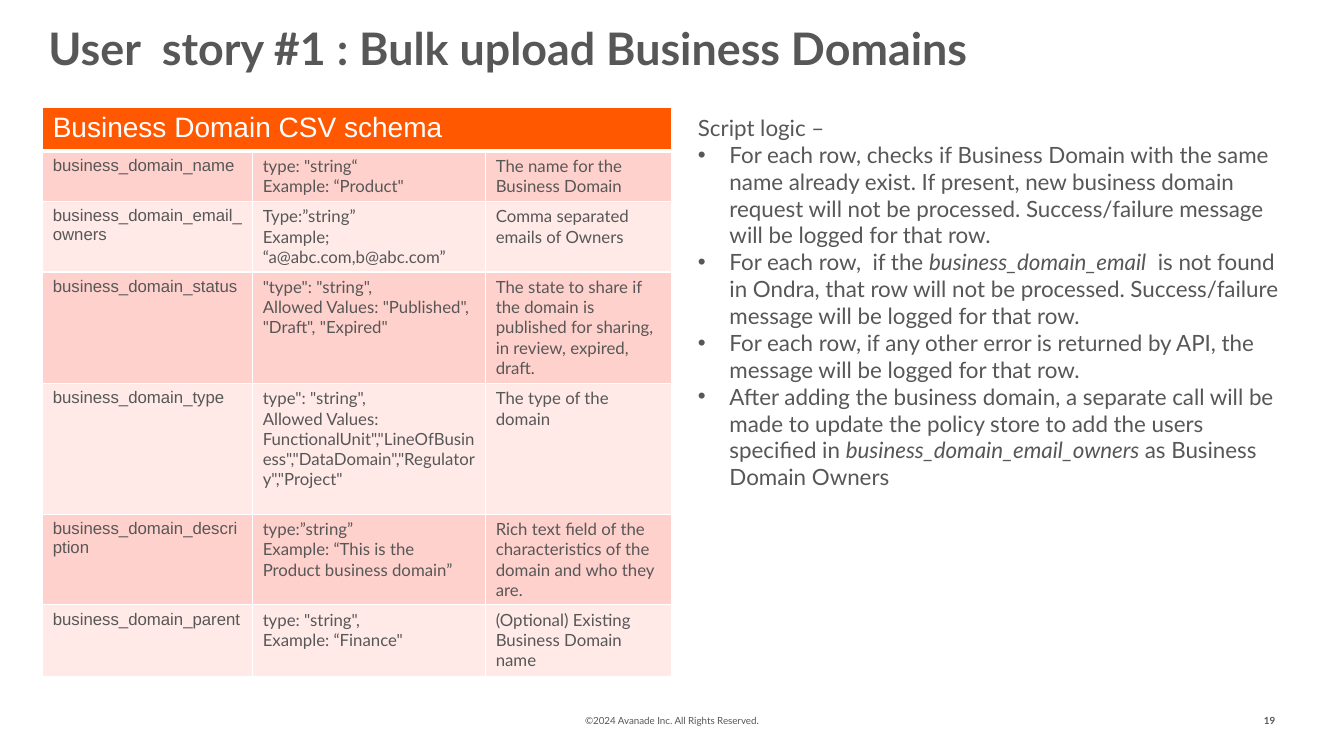
from lxml import etree
from pptx import Presentation
from pptx import util as u
from pptx.dml import color
from pptx.enum import shapes, text
from pptx.oxml import ns

COLORS = {"ink": "575757", "white": "FFFFFF", "orange": "FF5800", "rose": "FFD1CC", "blush": "FFEAE7"}


def rgb(name):
    return color.RGBColor.from_string(COLORS[name])


class SlideBuilder:
    font = "Lato"
    ink = "ink"

    def __init__(self, slide):
        self.slide = slide

    def add_words(self, frame, paragraphs, size, font=None, ink=None, bold=False, align=None, bullets_from=None):
        frame.word_wrap = True
        for index, runs in enumerate(paragraphs):
            paragraph = frame.paragraphs[0] if index == 0 else frame.add_paragraph()
            if align is not None:
                paragraph.alignment = align
            if bullets_from is not None and index >= bullets_from:
                self.bullet(paragraph)
            for position, words in enumerate([runs] if isinstance(runs, str) else runs):
                run = paragraph.add_run()
                run.text = words
                run.font.name = font or self.font
                run.font.size = u.Pt(size)
                run.font.bold = bold
                run.font.italic = position % 2 == 1
                run.font.color.rgb = rgb(ink or self.ink)

    def bullet(self, paragraph):
        properties = paragraph._p.get_or_add_pPr()
        properties.set("marL", str(u.Pt(22.5)))
        properties.set("indent", str(u.Pt(-22.5)))
        etree.SubElement(properties, ns.qn("a:buFont"), typeface="Arial")
        etree.SubElement(properties, ns.qn("a:buChar"), char="•")

    def text_box(self, box, paragraphs, size, anchor=text.MSO_ANCHOR.TOP, **style):
        frame = self.slide.shapes.add_textbox(*map(u.Pt, box)).text_frame
        frame.vertical_anchor = anchor
        self.add_words(frame, paragraphs, size, **style)

    def panel(self, box, fill, paragraphs, size, **style):
        panel = self.slide.shapes.add_shape(shapes.MSO_SHAPE.RECTANGLE, *map(u.Pt, box))
        panel.shadow.inherit = False
        panel.fill.solid()
        panel.fill.fore_color.rgb = rgb(fill)
        panel.line.fill.background()
        panel.text_frame.vertical_anchor = text.MSO_ANCHOR.MIDDLE
        self.add_words(panel.text_frame, paragraphs, size, **style)

    def border(self, cell, top=1, bottom=1):
        properties = cell._tc.get_or_add_tcPr()
        widths = {"lnL": 1, "lnR": 1, "lnT": top, "lnB": bottom}
        for index, (edge, width) in enumerate(widths.items()):
            line = etree.Element(ns.qn(f"a:{edge}"), w=str(u.Pt(width)))
            fill = etree.SubElement(line, ns.qn("a:solidFill"))
            etree.SubElement(fill, ns.qn("a:srgbClr"), val=COLORS["white"])
            properties.insert(index, line)

    def fill_cell(self, cell, fill, paragraphs, size, top=1, bottom=1, **style):
        cell.fill.solid()
        cell.fill.fore_color.rgb = rgb(fill)
        self.border(cell, top, bottom)
        self.add_words(cell.text_frame, paragraphs, size, **style)

    def schema_table(self, left, top, widths, heights, heading, fields):
        frame = self.slide.shapes.add_table(
            len(heights), len(widths), *map(u.Pt, (left, top, sum(widths), sum(heights))))
        table = frame.table
        for column, width in zip(table.columns, widths):
            column.width = u.Pt(width)
        for row, height in zip(table.rows, heights):
            row.height = u.Pt(height)
        table.cell(0, 0).merge(table.cell(0, len(widths) - 1))
        self.fill_cell(table.cell(0, 0), "orange", [heading], 20, bottom=3, font="Arial", ink="white")
        for row, (name, kind, meaning) in enumerate(fields, 1):
            for column, lines in enumerate(([name], kind, [meaning])):
                self.fill_cell(table.cell(row, column), "rose" if row % 2 else "blush", lines, 12,
                               top=3 if row == 1 else 1, font="Arial" if column == 0 else self.font)


FIELDS = [
    ("business_domain_name", ['type: "string“', 'Example: “Product"'], "The name for the Business Domain"),
    ("business_domain_email_owners", ["Type:”string”", "Example; “a@abc.com,b@abc.com”"],
     "Comma separated emails of Owners"),
    ("business_domain_status", ['"type": "string",', 'Allowed Values: "Published", "Draft", "Expired"'],
     "The state to share if the domain is published for sharing, in review, expired, draft."),
    ("business_domain_type",
     ['type": "string",',
      'Allowed Values: FunctionalUnit","LineOfBusiness","DataDomain","Regulatory","Project"'],
     "The type of the domain"),
    ("business_domain_description", ["type:”string”", "Example: “This is the Product business domain”"],
     "Rich text field of the characteristics of the domain and who they are."),
    ("business_domain_parent", ['type: "string",', 'Example: “Finance"'],
     "(Optional) Existing Business Domain name"),
]

SCRIPT_LOGIC = [
    "Script logic –",
    "For each row, checks if Business Domain with the same name already exist. If present, new business "
    "domain request will not be processed. Success/failure message will be logged for that row.",
    ["For each row,  if the ", "business_domain_email",
     "  is not found in Ondra, that row will not be processed. Success/failure message will be logged "
     "for that row."],
    "For each row, if any other error is returned by API, the message will be logged for that row.",
    ["After adding the business domain, a separate call will be made to update the policy store to add "
     "the users specified in ", "business_domain_email_owners ", "as Business Domain Owners"],
]


def main():
    deck = Presentation()
    deck.slide_width, deck.slide_height = u.Pt(960), u.Pt(540)
    story = SlideBuilder(deck.slides.add_slide(deck.slide_layouts[6]))
    story.panel((318, 500.5, 324, 29), "white", ["©2024 Avanade Inc. All Rights Reserved."], 7,
                align=text.PP_ALIGN.CENTER)
    story.text_box((883.5, 500.5, 34.5, 29), ["19"], 7, anchor=text.MSO_ANCHOR.MIDDLE, bold=True,
                   align=text.PP_ALIGN.RIGHT)
    story.text_box((27.5, 11, 882, 51), ["User  story #1 : Bulk upload Business Domains"], 32, bold=True)
    story.text_box((491.5, 78, 432, 346), SCRIPT_LOGIC, 16, bullets_from=1)
    story.schema_table(30.5, 76.5, (150, 166.5, 133), (29.5, 35.5, 50.5, 79.5, 93.5, 64.5, 51),
                       "Business Domain CSV schema", FIELDS)
    deck.save("out.pptx")


if __name__ == "__main__":
    main()
